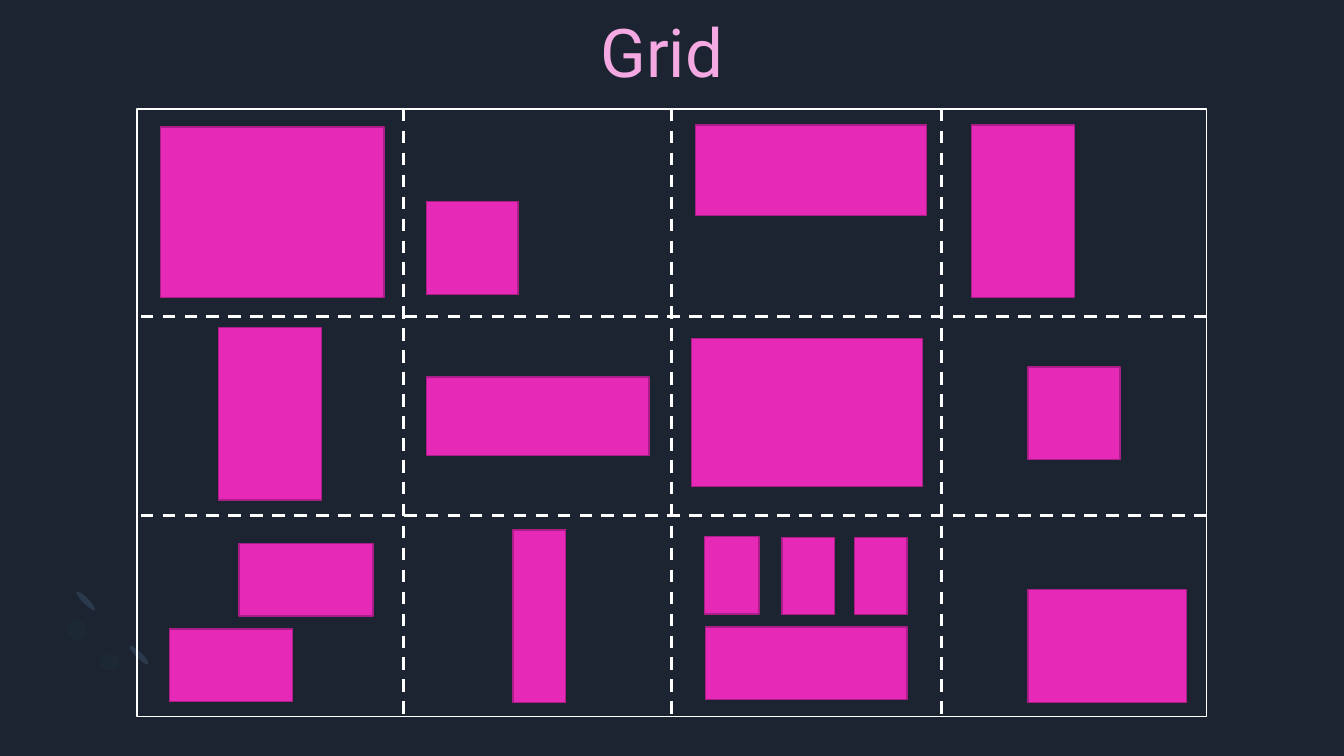
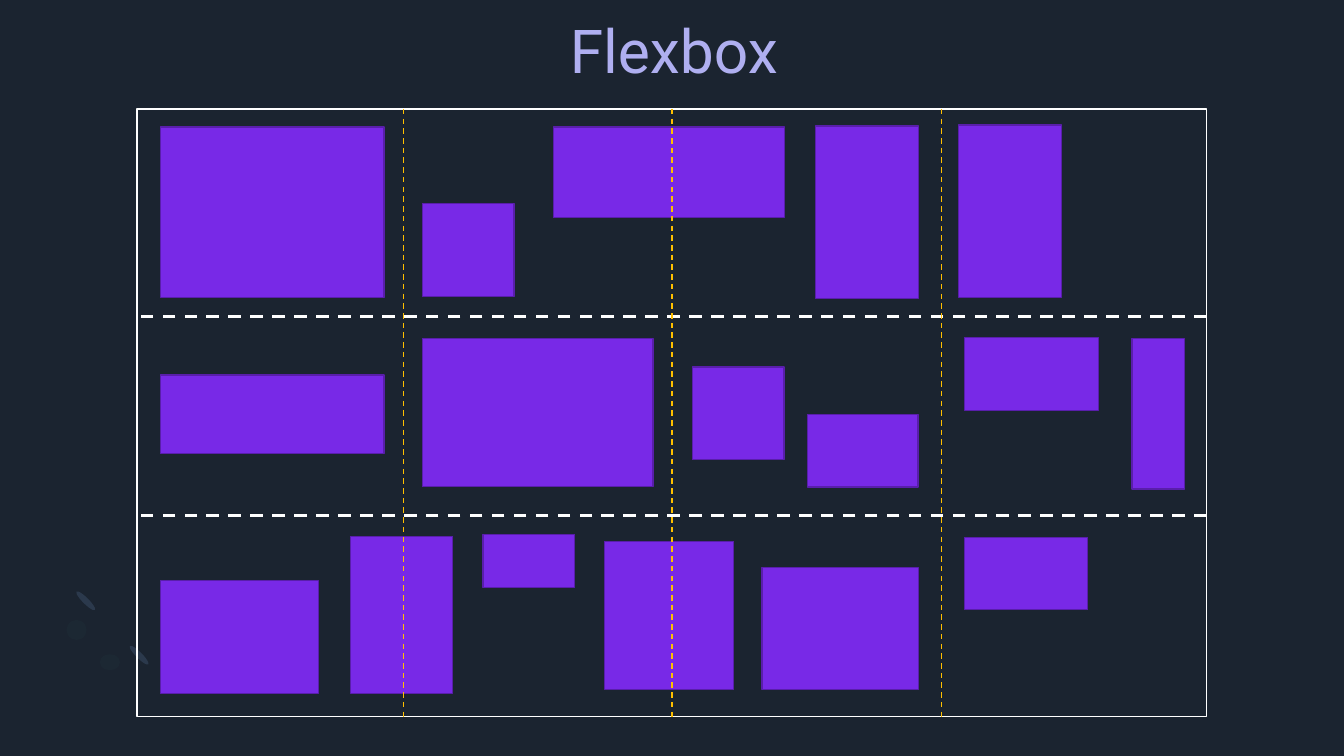
from lxml.etree import SubElement
from pptx import Presentation
from pptx.dml.color import RGBColor as RGB
from pptx.enum.dml import MSO_LINE as Dash
from pptx.enum.shapes import MSO_CONNECTOR as Conn, MSO_SHAPE as Kind
from pptx.enum.text import MSO_ANCHOR as Anchor, PP_ALIGN as Align
from pptx.oxml.ns import qn
from pptx.util import Pt

PX = 9144  # 100 px to the inch
NIGHT = RGB(0x1B, 0x24, 0x30)
SLATE = RGB(0x2B, 0x39, 0x4C)
FAINT = RGB(0x1C, 0x28, 0x33)
WHITE = RGB(0xFF, 0xFF, 0xFF)
GOLD = RGB(0xFF, 0xC0, 0x00)
PINK = RGB(0xE7, 0x29, 0xB8)
ROSE = RGB(0xAB, 0x1E, 0x88)
BLUSH = RGB(0xF5, 0xA9, 0xE3)
VIOLET = RGB(0x78, 0x29, 0xE7)
PLUM = RGB(0x59, 0x1E, 0xAB)
LILAC = RGB(0xAF, 0xAF, 0xF0)
FONT = "Roboto"

# Shared frame: left, top, width, height, and the lines that divide it
FRAME = (136, 108, 1061, 603)
ROWS = (314, 511)
COLS = [400 + 267 * i for i in range(3)]

# Corner ornament: box, turn, colour
DOTS = [
    ((135, 637, 6, 26), 135, SLATE),
    ((82, 583, 6, 26), 135, SLATE),
    ((66, 615, 20, 20), 0, FAINT),
    ((99, 649, 20, 16), 0, FAINT),
]

# Blocks by row: left, top, width, height
SLIDES = [
    dict(
        title="Grid", box=(571, 10, 171, 108), size=48, ink=BLUSH,
        fill=PINK, edge=ROSE, rule=WHITE, weight=2.25,
        blocks=[
            (159, 126, 222, 169), (423, 200, 91, 92), (690, 124, 229, 90),
            (964, 124, 102, 171),
            (217, 325, 102, 171), (423, 374, 221, 78), (686, 336, 229, 147),
            (1020, 364, 91, 92),
            (237, 539, 133, 72), (168, 624, 122, 72), (509, 526, 52, 171),
            (699, 532, 54, 77), (776, 533, 52, 77), (848, 533, 52, 77),
            (700, 622, 200, 72), (1020, 585, 157, 112),
        ],
    ),
    dict(
        title="Flexbox", box=(561, 13, 215, 108), size=43.2, ink=LILAC,
        fill=VIOLET, edge=PLUM, rule=GOLD, weight=1,
        blocks=[
            (159, 126, 222, 169), (419, 202, 91, 92), (549, 126, 229, 90),
            (809, 125, 102, 171), (951, 124, 102, 171),
            (159, 372, 222, 78), (419, 336, 229, 147), (687, 364, 91, 92),
            (801, 411, 110, 72), (957, 335, 133, 72), (1123, 336, 52, 149),
            (159, 576, 157, 112), (348, 532, 101, 156), (479, 530, 91, 53),
            (600, 537, 128, 147), (756, 563, 155, 121), (957, 533, 122, 72),
        ],
    ),
]


def emu(*nums):
    return [round(n * PX) for n in nums]


def add_box(slide, kind, box, fill=None, edge=None):
    shape = slide.shapes.add_shape(kind, *emu(*box))
    shape.shadow.inherit = False
    if fill is None:
        shape.fill.background()
    else:
        shape.fill.solid()
        shape.fill.fore_color.rgb = fill
    if edge is None:
        shape.line.fill.background()
    else:
        shape.line.color.rgb = edge
        shape.line.width = Pt(1)
    return shape


def add_rule(slide, ends, color, weight):
    rule = slide.shapes.add_connector(Conn.STRAIGHT, *emu(*ends))
    rule.line.color.rgb = color
    rule.line.width = Pt(weight)
    rule.line.dash_style = Dash.DASH
    SubElement(rule._element.spPr, qn("a:effectLst"))
    return rule


def add_title(slide, data):
    frame = slide.shapes.add_textbox(*emu(*data["box"])).text_frame
    frame.word_wrap = True
    frame.vertical_anchor = Anchor.TOP
    frame.margin_left = frame.margin_right = 0
    frame.margin_top = frame.margin_bottom = 0
    para = frame.paragraphs[0]
    para.text = data["title"]
    para.alignment = Align.CENTER
    para.font.name = FONT
    para.font.size = Pt(data["size"])
    para.font.color.rgb = data["ink"]


def add_slide(deck, data):
    slide = deck.slides.add_slide(deck.slide_layouts[6])
    slide.background.fill.solid()
    slide.background.fill.fore_color.rgb = NIGHT

    # Ornament and title
    for box, turn, color in DOTS:
        add_box(slide, Kind.OVAL, box, color).rotation = turn
    add_title(slide, data)

    # Frame and row lines
    left, top, width, height = FRAME
    frame = add_box(slide, Kind.RECTANGLE, FRAME, edge=WHITE)
    for y in ROWS:
        add_rule(slide, (left + width, y, left, y), WHITE, 2.25)

    # Blocks, then column lines over them
    for block in data["blocks"]:
        add_box(slide, Kind.RECTANGLE, block, data["fill"], data["edge"])
    for x in COLS:
        ends = (x, top, x, top + height)
        rule = add_rule(slide, ends, data["rule"], data["weight"])
        if x == COLS[1]:
            rule.begin_connect(frame, 0)
            rule.end_connect(frame, 2)


def main():
    deck = Presentation()
    deck.slide_width, deck.slide_height = emu(1333.33, 750)
    for data in SLIDES:
        add_slide(deck, data)
    deck.save("out.pptx")


if __name__ == "__main__":
    main()
